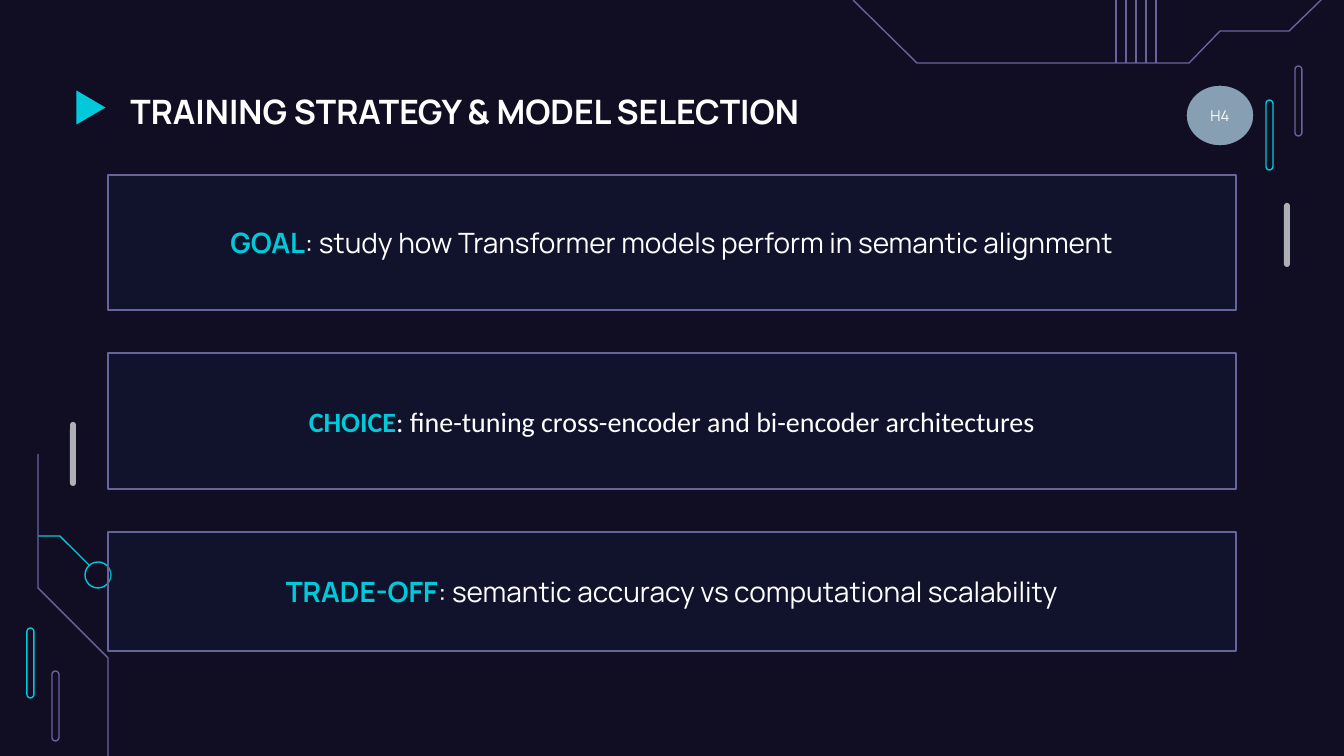
from lxml import etree
from pptx import Presentation, util as u
from pptx.dml.color import RGBColor
from pptx.enum import shapes, text
from pptx.oxml.ns import qn

# Content
TITLE = "TRAINING STRATEGY & MODEL SELECTION"
BADGE = "H4"
BOXES = [  # label, statement, font, height
    ("GOAL", ": study how Transformer models perform in semantic alignment", "Manrope", 135),
    ("CHOICE", ": fine-tuning cross-encoder and bi-encoder architectures", "Calibri", 136),
    ("TRADE-OFF", ": semantic accuracy vs computational scalability", "Manrope", 119),
]
COLORS = {"bg": "110E24", "cyan": "00CADA", "violet": "69639C", "grey": "AFAFB6",
          "panel": "0E2A47", "badge": "869FB2", "white": "FFFFFF"}

# Decoration, in px
OUTLINE_PILLS = [(1266, 100, "cyan"), (1295, 66, "violet"),
                 (27, 628, "cyan"), (52, 671, "violet")]
SOLID_PILLS = [(1284, 203), (70, 422)]
CIRCUITS = [
    ("violet", [(853, 0), (917, 63), (1189, 63), (1220, 31), (1289, 31), (1321, 0)]),
    ("cyan", [(89, 565), (60, 536), (38, 536)]),
    ("violet", [(38, 454), (38, 588), (108, 658), (108, 756)]),
]
BOX_LEFT, BOX_TOP, BOX_WIDTH, BOX_GAP = 108, 175, 1128, 43
PX = 914400 / 134.4
MSO = shapes.MSO_SHAPE


def px(*lengths):
    return [u.Emu(round(n * PX)) for n in lengths]


def rgb(name):
    return RGBColor.from_string(COLORS[name])


def style(sp, fill=None, line=None):
    sp.shadow.inherit = False
    if fill:
        sp.fill.solid()
        sp.fill.fore_color.rgb = rgb(fill)
    else:
        sp.fill.background()
    if line:
        sp.line.color.rgb = rgb(line)
        sp.line.width = u.Pt(0.75)
    else:
        sp.line.fill.background()
    return sp


def add_preset(kind, box, fill=None, line=None):
    return style(s.shapes.add_shape(kind, *px(*box)), fill, line)


def add_pill(box, **look):
    add_preset(MSO.ROUNDED_RECTANGLE, box, **look).adjustments[0] = 0.5


def write(sp, runs, font, size, align, anchor):
    """Fill a shape with one paragraph of (text, colour, bold) runs."""
    tf = sp.text_frame
    tf.word_wrap = True
    tf.auto_size = text.MSO_AUTO_SIZE.NONE
    tf.vertical_anchor = anchor
    tf.margin_left = tf.margin_right = tf.margin_top = tf.margin_bottom = u.Inches(0.1)
    p = tf.paragraphs[0]
    p.alignment = align
    p.font.name, p.font.size = font, u.Pt(size)
    for words, color, bold in runs:
        r = p.add_run()
        r.text = words
        r.font.color.rgb = rgb(color)
        r.font.bold = bold
    return p


prs = Presentation()
prs.slide_width, prs.slide_height = px(1344, 756)
s = prs.slides.add_slide(prs.slide_layouts[5])
s.background.fill.solid()
s.background.fill.fore_color.rgb = rgb("bg")

# Pills at the margins
for x, y, color in OUTLINE_PILLS:
    add_pill((x, y, 7, 70), line=color)
for x, y in SOLID_PILLS:
    add_pill((x, y, 6, 64), fill="grey")

# Circuit traces
for i in range(5):
    x = 1116 + 10 * i
    trace = s.shapes.add_connector(shapes.MSO_CONNECTOR.STRAIGHT, *px(x, 63, x, 0))
    trace.line.color.rgb = rgb("violet")
    trace.line.width = u.Pt(0.75)
    etree.SubElement(trace._element.spPr, qn("a:effectLst"))
for color, points in CIRCUITS:
    builder = s.shapes.build_freeform(*points[0], scale=PX)
    builder.add_line_segments(points[1:], close=False)
    style(builder.convert_to_shape(), line=color)
add_preset(MSO.OVAL, (85, 562, 26, 26), line="cyan")

# Title with its pointer
add_preset(MSO.FLOWCHART_MERGE, (74, 93, 34, 29), fill="cyan").rotation = 270
title = s.shapes.title
title.left, title.top, title.width, title.height = px(117, 71, 818, 87)
p = write(title, [(TITLE, "white", True)], "Manrope", 18,
          text.PP_ALIGN.LEFT, text.MSO_ANCHOR.TOP)
p.line_spacing = 1.15
p.space_before = u.Pt(0)

# Statement boxes
top = BOX_TOP
for label, statement, font, height in BOXES:
    sp = add_preset(MSO.RECTANGLE, (BOX_LEFT, top, BOX_WIDTH, height), "panel", "violet")
    fill_color = sp._element.spPr.find(qn("a:solidFill"))[0]
    etree.SubElement(fill_color, qn("a:alpha"), val="20000")
    write(sp, [(label, "cyan", True), (statement, "white", False)], font, 15,
          text.PP_ALIGN.CENTER, text.MSO_ANCHOR.MIDDLE)
    top += height + BOX_GAP

# Badge
badge = add_preset(MSO.OVAL, (1186, 85, 68, 61), "badge", "bg")
write(badge, [(BADGE, "white", False)], "Manrope", 8,
      text.PP_ALIGN.CENTER, text.MSO_ANCHOR.MIDDLE)

prs.save("out.pptx")
